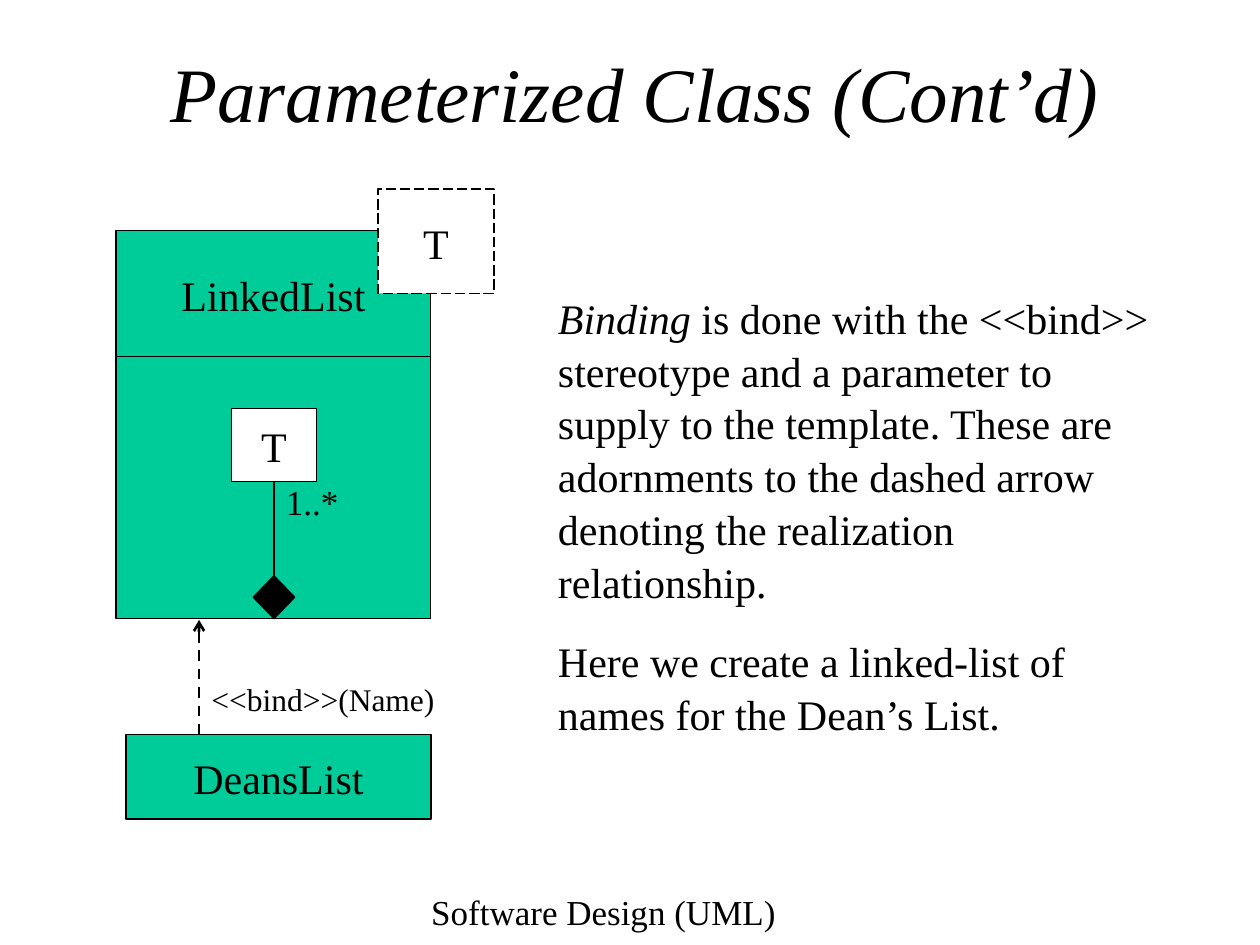
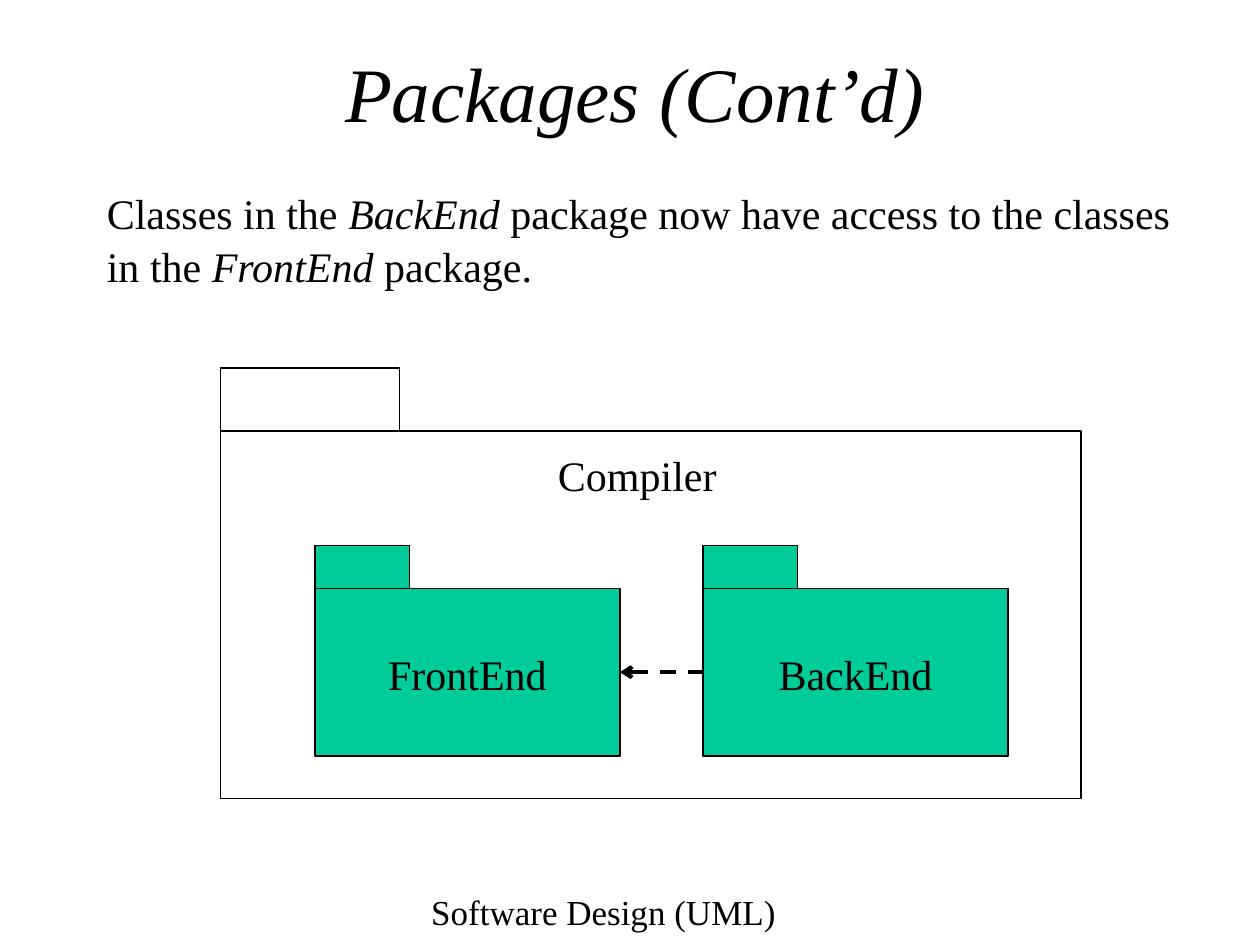
from dataclasses import dataclass
from lxml.etree import SubElement
from pptx import Presentation
from pptx.dml.color import RGBColor
from pptx.enum.dml import MSO_LINE
from pptx.enum.shapes import MSO_CONNECTOR, MSO_SHAPE
from pptx.enum.text import MSO_ANCHOR, MSO_AUTO_SIZE, PP_ALIGN
from pptx.oxml.ns import qn
from pptx.util import Inches, Pt


@dataclass(frozen=True)
class Theme:
    font: str = "Times New Roman"
    ink: RGBColor = RGBColor(0, 0, 0)
    paper: RGBColor = RGBColor(255, 255, 255)
    green: RGBColor = RGBColor(0, 0xCC, 0x99)
    title: int = 44
    body: int = 24
    small: int = 20
    stereotype: int = 18
    outline: float = 0.75
    line_spacing: float = 1.05
    paragraph_gap: int = 15


THEME = Theme()
MARGINS = {
    "margin_left": Inches(0.1),
    "margin_right": Inches(0.1),
    "margin_top": Inches(0.05),
    "margin_bottom": Inches(0.05),
}


def apply(target, formats):
    for name, value in formats.items():
        setattr(target, name, value)


def write(frame, paragraphs, size=THEME.body, align=PP_ALIGN.LEFT,
          anchor=MSO_ANCHOR.TOP, wrap=True, italic=False):
    apply(frame, {**MARGINS, "word_wrap": wrap, "vertical_anchor": anchor,
                  "auto_size": MSO_AUTO_SIZE.NONE})
    for index, runs in enumerate(paragraphs):
        paragraph = frame.add_paragraph() if index else frame.paragraphs[0]
        apply(paragraph, {"alignment": align, "line_spacing": THEME.line_spacing})
        if index:
            paragraph.space_before = Pt(THEME.paragraph_gap)
        for position, words in enumerate(runs):
            run = paragraph.add_run()
            run.text = words
            apply(run.font, {"name": THEME.font, "size": Pt(size),
                             "italic": italic or position % 2 == 1})
            run.font.color.rgb = THEME.ink


def add_text(slide, box, paragraphs, **formats):
    text = slide.shapes.add_textbox(*map(Inches, box))
    write(text.text_frame, paragraphs, **formats)


def add_block(slide, box, label=None, fill=THEME.green, dash=None,
              preset=MSO_SHAPE.RECTANGLE):
    block = slide.shapes.add_shape(preset, *map(Inches, box))
    block.shadow.inherit = False
    if fill is None:
        block.fill.background()
    else:
        block.fill.solid()
        block.fill.fore_color.rgb = fill
    block.line.color.rgb = THEME.ink
    apply(block.line, {"width": Pt(THEME.outline), "dash_style": dash})
    if label:
        write(block.text_frame, [[label]], align=PP_ALIGN.CENTER,
              anchor=MSO_ANCHOR.MIDDLE, wrap=False)
    return block


def add_relation(slide, start=(0, 0), end=(0, 0), width=1.5, dash=None, arrow=None):
    relation = slide.shapes.add_connector(
        MSO_CONNECTOR.STRAIGHT, *map(Inches, (*start, *end)))
    relation.line.color.rgb = THEME.ink
    apply(relation.line, {"width": Pt(width), "dash_style": dash})
    if arrow:
        SubElement(relation.line._ln, qn(f"a:{arrow}"), type="arrow")
    SubElement(relation._element.spPr, qn("a:effectLst"))
    return relation


def join(relation, source, source_side, target, target_side):
    relation.begin_connect(source, source_side)
    relation.end_connect(target, target_side)


def add_page(deck, heading):
    slide = deck.slides.add_slide(deck.slide_layouts.get_by_name("Title Only"))
    title = slide.shapes.title
    apply(title, {"left": Inches(0.75), "top": Inches(0.42),
                  "width": Inches(8.58), "height": Inches(0.58)})
    write(title.text_frame, [[heading]], size=THEME.title, italic=True,
          align=PP_ALIGN.CENTER, anchor=MSO_ANCHOR.MIDDLE)
    add_text(slide, (2.58, 7, 4.42, 0.5), [["Software Design (UML)"]],
             size=THEME.small, align=PP_ALIGN.CENTER)
    return slide


def add_template_class(slide, left, top, width, height):
    name_height = 1
    add_block(slide, (left, top, width, name_height), "LinkedList")
    add_block(slide, (left + 2.08, top - 0.33, 0.92, 0.83), "T",
              THEME.paper, MSO_LINE.LONG_DASH)
    add_block(slide, (left, top + name_height, width, height - name_height))
    element = add_block(slide, (left + 0.92, top + 1.41, 0.67, 0.58), "T", THEME.paper)
    diamond = add_block(slide, (left + 1.09, top + height - 0.34, 0.33, 0.34),
                        fill=THEME.ink, preset=MSO_SHAPE.DIAMOND)
    join(add_relation(slide), diamond, 0, element, 2)
    add_text(slide, (left + 1.25, top + 1.92, 0.67, 0.44), [["1..*"]], size=THEME.small)


def add_bound_class(slide, left, top, width, height, template_bottom):
    add_block(slide, (left, top, width, height), "DeansList")
    bind_x = left + 0.58
    add_relation(slide, (bind_x, top), (bind_x, template_bottom),
                 dash=MSO_LINE.DASH, arrow="tailEnd")
    add_text(slide, (bind_x, top - 0.5, 2, 0.4), [["<<bind>>(Name)"]],
             size=THEME.stereotype)


def add_package(slide, box, tab_size, label=None, fill=THEME.green):
    left, top, width, height = box
    tab_width, tab_height = tab_size
    body_top = top + tab_height
    body = add_block(slide, (left, body_top, width, height - tab_height), label, fill)
    add_block(slide, (left, top, tab_width, tab_height), fill=fill)
    return body


def add_compiler(slide, left, top, width, height):
    add_package(slide, (left, top, width, height), (1.42, 0.5), fill=None)
    add_text(slide, (left + 2.58, top + 0.58, 2.08, 0.5), [["Compiler"]])
    front_end, back_end = [
        add_package(slide, (left + 0.75 + 3.08 * column, top + 1.41, 2.42, 1.67),
                    (0.75, 0.34), label)
        for column, label in enumerate(("FrontEnd", "BackEnd"))]
    access = add_relation(slide, width=2.25, dash=MSO_LINE.DASH, arrow="headEnd")
    join(access, front_end, 3, back_end, 1)


def build_parameterized_class(deck):
    slide = add_page(deck, "Parameterized Class (Cont’d)")
    add_template_class(slide, 0.92, 1.83, 2.5, 3.08)
    add_text(slide, (4.33, 2.25, 4.92, 3.51), [
        ["", "Binding", " is done with the <<bind>> stereotype and a parameter to "
         "supply to the template. These are adornments to the dashed arrow "
         "denoting the realization relationship."],
        ["Here we create a linked-list of names for the Dean’s List."]])
    add_bound_class(slide, 1, 5.83, 2.42, 0.67, template_bottom=4.92)


def build_packages(deck):
    slide = add_page(deck, "Packages (Cont’d)")
    add_text(slide, (0.75, 1.42, 8.83, 0.9), [
        ["Classes in the ", "BackEnd", " package now have access to the classes in the ",
         "FrontEnd", " package."]])
    add_compiler(slide, 1.75, 2.92, 6.83, 3.42)


def main():
    deck = Presentation()
    apply(deck, {"slide_width": Inches(10), "slide_height": Inches(7.5)})
    build_parameterized_class(deck)
    build_packages(deck)
    deck.save("out.pptx")


if __name__ == "__main__":
    main()
